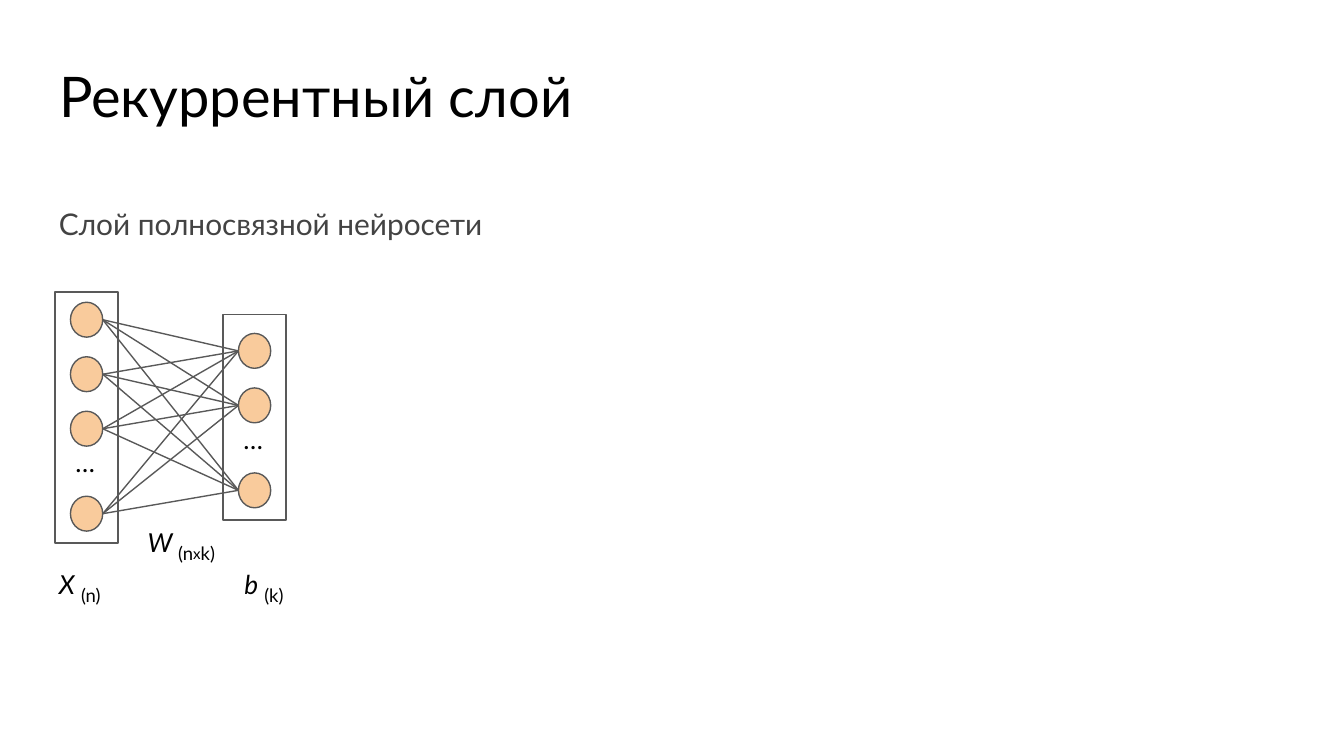
from dataclasses import dataclass
from itertools import product

from pptx import Presentation
from pptx.dml.color import RGBColor
from pptx.enum.shapes import MSO_CONNECTOR, MSO_SHAPE
from pptx.enum.text import MSO_ANCHOR, MSO_AUTO_SIZE, PP_ALIGN
from pptx.oxml.ns import qn
from pptx.util import Pt
from lxml import etree

RECTANGLE, OVAL = MSO_SHAPE.RECTANGLE, MSO_SHAPE.OVAL
STRAIGHT = MSO_CONNECTOR.STRAIGHT
TOP, LEFT, NO_AUTOFIT = MSO_ANCHOR.TOP, PP_ALIGN.LEFT, MSO_AUTO_SIZE.NONE
TITLE_ONLY = 5


@dataclass(frozen=True)
class Theme:
    font: str = "Lato"
    black: RGBColor = RGBColor(0, 0, 0)
    gray: RGBColor = RGBColor(0x43, 0x43, 0x43)
    stroke: RGBColor = RGBColor(0x59, 0x59, 0x59)
    neuron: RGBColor = RGBColor(0xF9, 0xCB, 0x9C)
    title_size: float = 30
    subtitle_size: float = 16
    label_size: float = 14
    index_size: float = 17
    stroke_width: float = 0.75
    inset: float = 7.2


THEME = Theme()
NEURON_WIDTH, NEURON_HEIGHT = 17.3, 18.7
LAYER_WIDTH = 33.8
NEURON_PITCH, SKIP_PITCH = 29.2, 45.5  # the last neuron follows the ellipsis


def prepare_frame(text_frame):
    text_frame.word_wrap = True
    text_frame.auto_size = NO_AUTOFIT
    text_frame.vertical_anchor = TOP
    text_frame.margin_left = text_frame.margin_right = Pt(THEME.inset)
    text_frame.margin_top = text_frame.margin_bottom = Pt(THEME.inset)
    text_frame.paragraphs[0].alignment = LEFT


def format_run(run, size, color=THEME.black, italic=False):
    run.font.name = THEME.font
    run.font.size = Pt(size)
    run.font.color.rgb = color
    run.font.italic = italic


def add_title(slide, text):
    title = slide.shapes.title
    title.left, title.top, title.width, title.height = Pt(24.5), Pt(26), Pt(671), Pt(45)
    title.text_frame.text = text
    prepare_frame(title.text_frame)
    format_run(title.text_frame.paragraphs[0].runs[0], THEME.title_size)


def add_text(slide, left, top, width, height, text, size, color=THEME.black, italic=False):
    box = slide.shapes.add_textbox(Pt(left), Pt(top), Pt(width), Pt(height))
    box.text_frame.text = text
    prepare_frame(box.text_frame)
    paragraph = box.text_frame.paragraphs[0]
    format_run(paragraph.runs[0], size, color, italic)
    return paragraph


def add_label(slide, left, top, width, symbol, index_parts):
    """Italic symbol followed by subscript parts given as (text, size)."""
    paragraph = add_text(slide, left, top, width, 35, symbol + " ", THEME.label_size, italic=True)
    for text, size in index_parts:
        run = paragraph.add_run()
        run.text = text
        format_run(run, size)
        run._r.get_or_add_rPr().set("baseline", "-25000")


def add_outlined_shape(slide, kind, left, top, width, height, fill=None):
    shape = slide.shapes.add_shape(kind, Pt(left), Pt(top), Pt(width), Pt(height))
    shape.shadow.inherit = False
    if fill is None:
        shape.fill.background()
    else:
        shape.fill.solid()
        shape.fill.fore_color.rgb = fill
    shape.line.color.rgb = THEME.stroke
    shape.line.width = Pt(THEME.stroke_width)
    return shape


def add_layer(slide, left, top, height, first_center, count):
    """Draw a framed column of neurons and return them."""
    add_outlined_shape(slide, RECTANGLE, left, top, LAYER_WIDTH, height)
    centers = [first_center + NEURON_PITCH * i for i in range(count - 1)]
    ellipsis_top = centers[-1] + 2.5
    centers.append(centers[-1] + SKIP_PITCH)
    neuron_left = left + (LAYER_WIDTH - NEURON_WIDTH) / 2
    neurons = [
        add_outlined_shape(slide, OVAL, neuron_left, center - NEURON_HEIGHT / 2,
                           NEURON_WIDTH, NEURON_HEIGHT, THEME.neuron)
        for center in centers
    ]
    add_text(slide, left + 3.8, ellipsis_top, 25.2, 31.7, "…", THEME.label_size)
    return neurons


def add_link(slide, source, target):
    connector = slide.shapes.add_connector(
        STRAIGHT,
        source.left + source.width, source.top + source.height // 2,
        target.left, target.top + target.height // 2)
    connector.line.color.rgb = THEME.stroke
    connector.line.width = Pt(THEME.stroke_width)
    etree.SubElement(connector._element.spPr, qn("a:effectLst"))


def main():
    presentation = Presentation()
    presentation.slide_width, presentation.slide_height = Pt(720), Pt(405)
    slide = presentation.slides.add_slide(presentation.slide_layouts[TITLE_ONLY])

    # Headings
    add_title(slide, "Рекуррентный слой")
    add_text(slide, 24.5, 103, 394.5, 34, "Слой полносвязной нейросети",
             THEME.subtitle_size, THEME.gray)

    # Fully connected layers
    inputs = add_layer(slide, 29.5, 156.5, 134.5, 171.3, 4)
    outputs = add_layer(slide, 119.5, 168.5, 110.2, 188, 3)
    for source, target in product(inputs, outputs):
        add_link(slide, source, target)

    # Symbols with dimensions
    index, small = THEME.index_size, THEME.label_size
    add_label(slide, 24.5, 294.5, 43.2, "X", [("(n)", index)])
    add_label(slide, 72, 272, 85, "W", [("(n", index), ("x", small), ("k)", index)])
    add_label(slide, 123.8, 294.5, 85, "b", [("(k)", index)])

    presentation.save("out.pptx")


if __name__ == "__main__":
    main()
